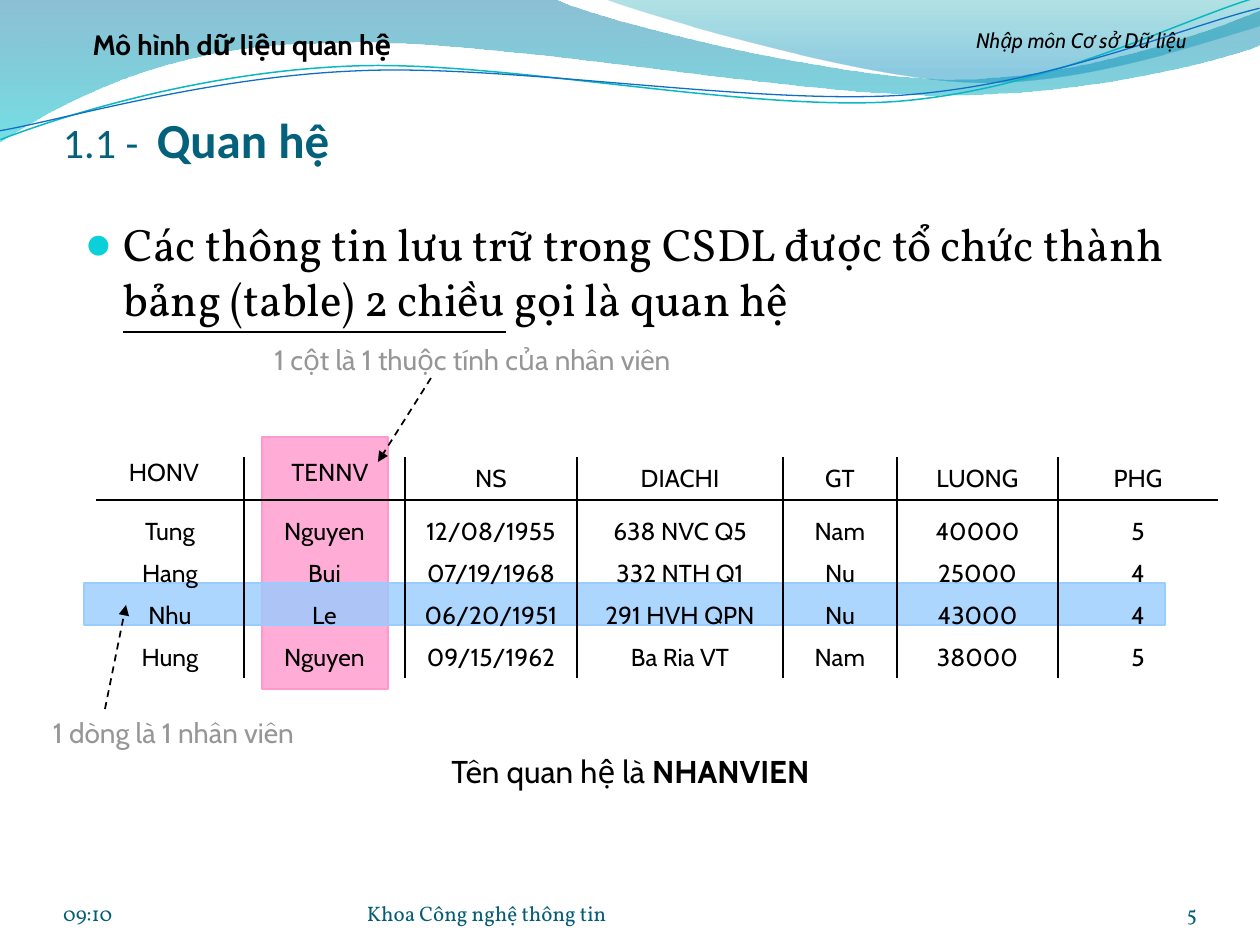
from dataclasses import dataclass
from itertools import pairwise

from lxml.etree import SubElement
from pptx import Presentation
from pptx.dml.color import RGBColor
from pptx.enum.dml import MSO_LINE
from pptx.enum.shapes import MSO_CONNECTOR as Connector, MSO_SHAPE as Shape
from pptx.enum.text import MSO_ANCHOR as Anchor, MSO_AUTO_SIZE as AutoSize, PP_ALIGN as Align
from pptx.oxml.ns import qn
from pptx.util import Emu, Pt

EMU_PER_PX = 914400 / 126


@dataclass(frozen=True)
class Theme:
    black: str = "000000"
    gray: str = "969696"
    title: str = "04617B"
    footer: str = "045D75"
    bullet: str = "0BD0D9"
    pink: str = "FF99CC"
    blue: str = "99CCFF"
    body_font: str = "Vollkorn"
    label_font: str = "Cabin"
    title_font: str = "Calibri"
    small: int = 12
    cell: int = 14
    label: int = 16
    caption: int = 18
    number: int = 24
    body: int = 26
    heading: int = 28


THEME = Theme()


@dataclass(frozen=True)
class Run:
    text: str
    size: int | None = None
    bold: bool = False
    italic: bool = False
    underline: bool = False


@dataclass(frozen=True)
class Label:
    box: tuple
    runs: tuple
    size: int
    font: str = THEME.label_font
    color: str = THEME.black
    align: Align = Align.CENTER
    anchor: Anchor = Anchor.TOP
    insets: tuple | None = None
    grow: bool = True
    bullet: bool = False
    tab: int = 0


@dataclass(frozen=True)
class Wave:
    start: tuple
    segments: tuple  # one point for a straight segment, three for a Bezier curve
    stops: tuple = ()  # (position, colour, opacity in percent)
    line: tuple = ()  # (colour, width in points)
    rotation: float = 0


def px(value: float) -> Emu:
    return Emu(round(value * EMU_PER_PX))


def rgb(color: str) -> RGBColor:
    return RGBColor.from_string(color)


def set_alpha(color_parent, percent: int) -> None:
    for color in color_parent.iter(qn("a:srgbClr")):
        SubElement(color, qn("a:alpha"), val=str(percent * 1000))


def write(frame, runs: tuple, *, size: int, font: str, color: str, align: Align,
          bullet: bool = False, tab: int = 0) -> None:
    paragraph = frame.paragraphs[0]
    paragraph.alignment = align
    properties = paragraph._p.get_or_add_pPr()
    if bullet:
        properties.set("marL", str(px(38)))
        properties.set("indent", str(px(-38)))
        SubElement(SubElement(properties, qn("a:buClr")), qn("a:srgbClr"), val=THEME.bullet)
        SubElement(properties, qn("a:buSzPct"), val="95000")
        SubElement(properties, qn("a:buFont"), typeface=THEME.title_font)
        SubElement(properties, qn("a:buChar"), char="●")
    if tab:
        SubElement(SubElement(properties, qn("a:tabLst")), qn("a:tab"), pos=str(px(tab)), algn="l")
    for item in runs:
        run = paragraph.add_run()
        run.text = item.text
        run.font.name, run.font.size = font, Pt(item.size or size)
        run.font.color.rgb = rgb(color)
        run.font.bold, run.font.italic = item.bold, item.italic
        run.font.underline = item.underline


def draw_label(slide, label: Label) -> None:
    frame = slide.shapes.add_textbox(*map(px, label.box)).text_frame
    frame.word_wrap = True
    frame.auto_size = AutoSize.SHAPE_TO_FIT_TEXT if label.grow else AutoSize.NONE
    frame.vertical_anchor = label.anchor
    if label.insets:
        (frame.margin_left, frame.margin_top,
         frame.margin_right, frame.margin_bottom) = map(px, label.insets)
    write(frame, label.runs, size=label.size, font=label.font, color=label.color,
          align=label.align, bullet=label.bullet, tab=label.tab)


def draw_wave(slide, wave: Wave) -> None:
    points = [(px(x), px(y)) for segment in wave.segments for x, y in segment]
    builder = slide.shapes.build_freeform(*map(px, wave.start), scale=1.0)
    builder.add_line_segments(points, close=bool(wave.stops))
    shape = builder.convert_to_shape()
    shape.shadow.inherit = False
    shape.rotation = wave.rotation
    # Join each three control points into one Bezier curve
    straight = iter(list(shape._element.iter(qn("a:lnTo"))))
    for segment in wave.segments:
        first, *others = [next(straight) for _ in segment]
        if others:
            curve = first.makeelement(qn("a:cubicBezTo"))
            first.addprevious(curve)
            for element in (first, *others):
                curve.append(element[0])
                element.getparent().remove(element)
    if wave.stops:
        shape.fill.gradient()
        shape.fill.gradient_angle = 270
        for stop, (position, color, opacity) in zip(shape.fill.gradient_stops, wave.stops):
            stop.position, stop.color.rgb = position / 100, rgb(color)
            set_alpha(stop._gs, opacity)
        shape.line.fill.background()
    else:
        shape.fill.background()
        shape.line.color.rgb, shape.line.width = rgb(wave.line[0]), Pt(wave.line[1])


def draw_highlight(slide, box: tuple, color: str) -> None:
    shape = slide.shapes.add_shape(Shape.RECTANGLE, *map(px, box))
    shape.shadow.inherit = False
    shape.fill.solid()
    shape.fill.fore_color.rgb = rgb(color)
    set_alpha(shape._element.spPr, 80)
    shape.line.color.rgb, shape.line.width = rgb(color), Pt(1)


def draw_line(slide, start: tuple, end: tuple, arrow: bool = False) -> None:
    line = slide.shapes.add_connector(Connector.STRAIGHT, *map(px, start + end))
    line.line.color.rgb, line.line.width = rgb(THEME.black), Pt(1)
    if arrow:
        line.line.dash_style = MSO_LINE.DASH
        SubElement(line.line._get_or_add_ln(), qn("a:tailEnd"), type="triangle")
    SubElement(line._element.spPr, qn("a:effectLst"))


def draw_relation(slide, header: tuple, rows: tuple, edges: tuple) -> None:
    draw_line(slide, (edges[0], 500), (edges[-1], 500))
    for edge in edges[1:-1]:
        draw_line(slide, (edge, 457), (edge, 678))
    columns = [(left, right - left) for left, right in pairwise(edges)]
    # The first two headings sit a little higher than the others
    heading_boxes = [(84, 451, 160, 42), (256, 451, 148, 42)]
    heading_boxes += [(left, 457, width, 42) for left, width in columns[2:]]
    cells = list(zip(heading_boxes, header))
    for index, values in enumerate(rows):
        cells += [((left, 510 + 42 * index, width, 42), value)
                  for (left, width), value in zip(columns, values)]
    for box, value in cells:
        draw_label(slide, Label(box, (Run(value),), THEME.cell))


WAVES = (
    Wave((0, -1), (((554, -1),), ((600, 21), (837, 79), (955, 79)),
                   ((1075, 79), (1207, 33), (1260, 11)), ((1261, 45),),
                   ((1239, 55), (1096, 96), (940, 95)), ((781, 95), (481, 35), (324, 43)),
                   ((163, 44), (58, 105), (-1, 142))),
         stops=((0, "0074A1", 45), (100, "00C6CF", 55))),
    Wave((604, -1), (((641, 14), (859, 78), (969, 82)), ((1079, 87), (1211, 40), (1260, 26)),
                     ((1260, 0),)),
         stops=((0, "00A1A9", 30), (80, "008BBF", 45))),
    Wave((-2, 110), (((58, 90), (199, 52), (350, 53)), ((499, 53), (745, 118), (896, 114)),
                     ((1049, 109), (1184, 45), (1260, 27))),
         line=("0AB8BF", 0.85), rotation=357.3),
    Wave((-2, 101), (((57, 94), (207, 57), (357, 58)), ((509, 58), (750, 111), (902, 108)),
                     ((1052, 104), (1188, 52), (1262, 38))),
         line=("0F6FC6", 0.75), rotation=357.3),
)
FOOTER = dict(size=THEME.small, font=THEME.body_font, color=THEME.footer,
              anchor=Anchor.BOTTOM, insets=(0, 0, 0, 0), grow=False)
MAIN_TEXTS = (
    Label((63, 105, 1134, 63), (Run("1.1 -\t", THEME.number), Run("Quan hệ", bold=True)),
          THEME.heading, THEME.title_font, THEME.title, Align.LEFT, Anchor.BOTTOM,
          (0, 6, 0, 0), grow=False, tab=94),
    Label((73, 210, 1134, 667),
          (Run("Các thông tin lưu trữ trong CSDL được tổ chức thành "),
           Run("bảng (table) 2 chiều", underline=True), Run(" gọi là quan hệ")),
          THEME.body, THEME.body_font, align=Align.LEFT, grow=False, bullet=True),
    Label((63, 876, 294, 50), (Run("09:10"),), align=Align.LEFT, **FOOTER),
    Label((1092, 876, 105, 50), (Run("5"),), align=Align.RIGHT, **FOOTER),
)
COLUMN_NOTE = Label((231, 336, 483, 47), (Run("1 cột là 1 thuộc tính của nhân viên"),),
                    THEME.label, color=THEME.gray)
ROW_NOTE = Label((21, 709, 305, 47), (Run("1 dòng là 1 nhân viên"),),
                 THEME.label, color=THEME.gray)
CLOSING_TEXTS = (
    Label((347, 746, 567, 50), (Run("Tên quan hệ là "), Run("NHANVIEN", bold=True)),
          THEME.caption),
    Label((367, 876, 462, 50), (Run("Khoa Công nghệ thông tin"),), align=Align.LEFT, **FOOTER),
    Label((903, 21, 357, 48), (Run("Nhập môn Cơ sở Dữ liệu", italic=True),), THEME.small),
    Label((32, 21, 420, 47), (Run("Mô hình dữ liệu quan hệ", bold=True),), THEME.label),
)
ATTRIBUTES = ("HONV", "TENNV", "NS", "DIACHI", "GT", "LUONG", "PHG")
EMPLOYEES = (
    ("Tung", "Nguyen", "12/08/1955", "638 NVC Q5", "Nam", "40000", "5"),
    ("Hang", "Bui", "07/19/1968", "332 NTH Q1", "Nu", "25000", "4"),
    ("Nhu", "Le", "06/20/1951", "291 HVH QPN", "Nu", "43000", "4"),
    ("Hung", "Nguyen", "09/15/1962", "Ba Ria VT", "Nam", "38000", "5"),
)


def main() -> None:
    presentation = Presentation()
    presentation.slide_width, presentation.slide_height = px(1260), px(945)
    slide = presentation.slides.add_slide(presentation.slide_layouts[6])
    # Wavy header, title, body and footer
    for wave in WAVES:
        draw_wave(slide, wave)
    for label in MAIN_TEXTS:
        draw_label(slide, label)
    # Highlighted column and row with their notes
    draw_highlight(slide, (262, 437, 126, 252), THEME.pink)
    draw_label(slide, COLUMN_NOTE)
    draw_line(slide, (431, 378), (378, 462), arrow=True)
    draw_highlight(slide, (84, 583, 1081, 42), THEME.blue)
    draw_label(slide, ROW_NOTE)
    draw_line(slide, (105, 709), (126, 605), arrow=True)
    # Employee relation over the highlights
    draw_relation(slide, ATTRIBUTES, EMPLOYEES, (96, 244, 405, 577, 783, 897, 1058, 1218))
    for label in CLOSING_TEXTS:
        draw_label(slide, label)
    presentation.save("out.pptx")


if __name__ == "__main__":
    main()
